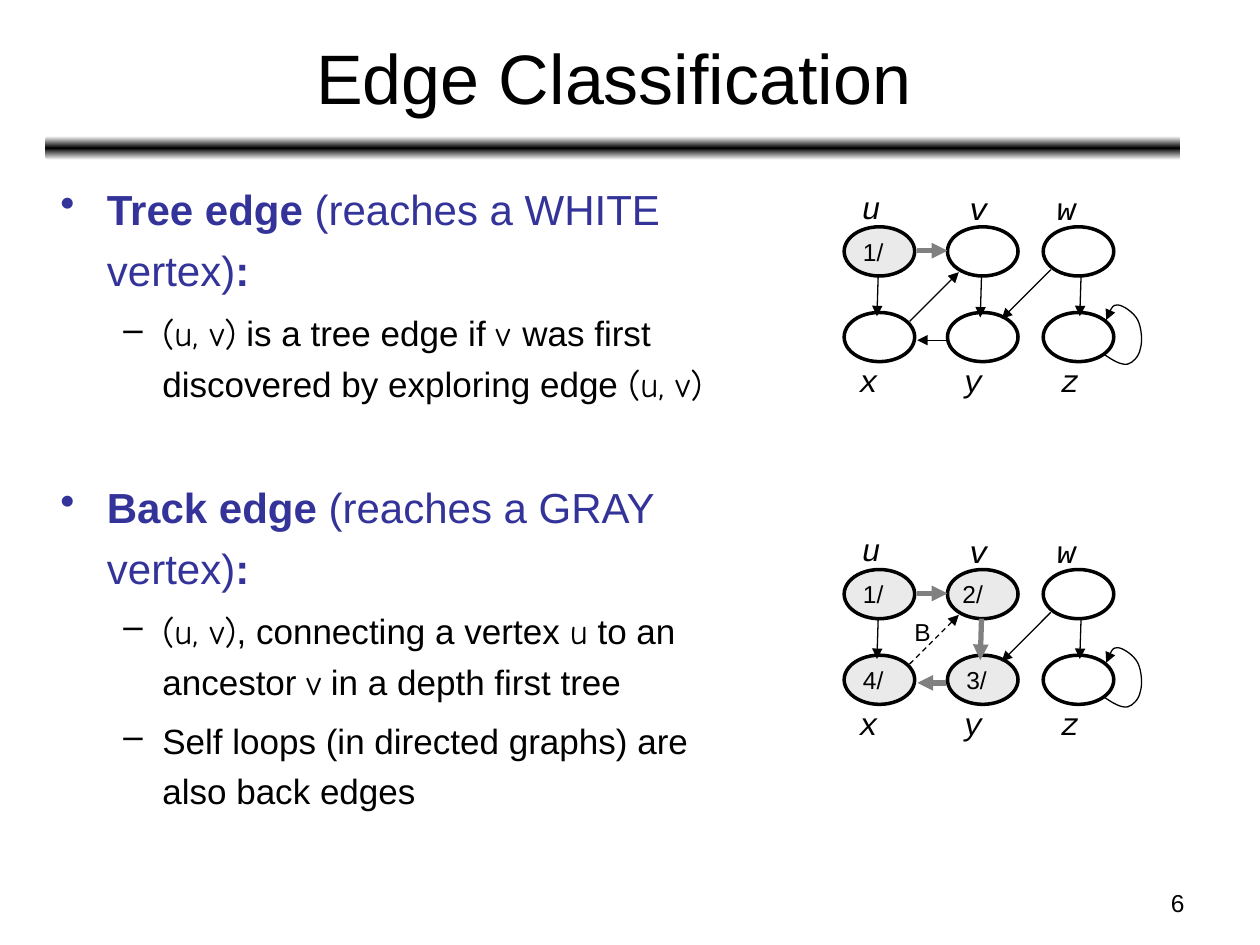
from copy import deepcopy

from lxml import etree
from pptx import Presentation
from pptx.dml.color import RGBColor
from pptx.enum import dml, shapes, text
from pptx.oxml.ns import qn
from pptx.util import Inches, Pt

COLORS = {"ink": "000000", "paper": "FFFFFF", "heading": "333399",
          "visited": "EAEAEA", "tree": "808080"}
SANS, HAND, MONO = "Arial", "Comic Neue", "Courier New"

# Bullet levels: indent, hanging, space before, size, bullet, colour
LEVELS = [
    dict(left=0.37, hang=0.37, before=6, size=24, bullet="•", color="heading"),
    dict(left=0.81, hang=0.31, before=5, size=20, bullet="–", color="ink"),
]
SECTION_GAP = 38.5

# Each paragraph: level, runs of (text, font, bold)
TREE_EDGE = [
    (0, [("Tree edge ", SANS, True), ("(reaches a WHITE vertex)", SANS, False),
         (":", SANS, True)]),
    (1, [("(u, v)", HAND, False), (" is a tree edge if ", SANS, False),
         ("v ", HAND, False),
         ("was first discovered by exploring edge ", SANS, False),
         ("(u, v)", HAND, False)]),
]
BACK_EDGE = [
    (0, [("Back edge ", SANS, True), ("(reaches a GRAY vertex)", SANS, False),
         (":", SANS, True)]),
    (1, [("(u, v)", HAND, False), (", connecting a vertex ", SANS, False),
         ("u", HAND, False), (" to an ancestor ", SANS, False),
         ("v", HAND, False), (" in a depth first tree", SANS, False)]),
    (1, [("Self loops (in directed graphs) are also back edges", SANS, False)]),
]

# Graph geometry, relative to the graph's top left corner
NODE_W, NODE_H = 0.56, 0.39
COLUMNS, ROWS = (0, 0.82, 1.58), (0.36, 1.04)
VERTICES = {name: (COLUMNS[i % 3], ROWS[i // 3])
            for i, name in enumerate("uvwxyz")}
LABELS = {"u": (0.04, 0, 0.34), "v": (0.89, 0.01, 0.31),
          "w": (1.59, 0.01, 0.38), "x": (0.02, 1.38, 0.32),
          "y": (0.85, 1.38, 0.31), "z": (1.62, 1.38, 0.31)}
EDGES = {"ux": (0.27, 0.75, 0.26, 1.07), "vy": (1.09, 0.75, 1.08, 1.08),
         "wz": (1.88, 0.75, 1.87, 1.07), "uv": (0.58, 0.55, 0.82, 0.55),
         "yx": (0.81, 1.26, 0.58, 1.26), "wy": (1.64, 0.70, 1.25, 1.09),
         "xv": (0.52, 1.11, 0.91, 0.72)}
SELF_LOOP = [(2.06, 1.37), (2.13, 1.42), (2.20, 1.46), (2.25, 1.45),
             (2.29, 1.44), (2.34, 1.39), (2.35, 1.33), (2.37, 1.27),
             (2.36, 1.16), (2.33, 1.10), (2.30, 1.04), (2.21, 0.98),
             (2.17, 0.98), (2.13, 0.98), (2.10, 1.04), (2.08, 1.10)]


def rgb(name):
    return RGBColor.from_string(COLORS[name])


def apply(target, values):
    for name, value in values.items():
        setattr(target, name, value)


def add_run(paragraph, words, size, font=SANS, color="ink", **style):
    run = paragraph.add_run()
    run.text = words
    apply(run.font, dict(name=font, size=Pt(size), **style))
    run.font.color.rgb = rgb(color)


def add_label(parent, box, words, size, align=text.PP_ALIGN.LEFT, **style):
    label = parent.add_textbox(*map(Inches, box))
    label.text_frame.word_wrap = False
    paragraph = label.text_frame.paragraphs[0]
    paragraph.alignment = align
    add_run(paragraph, words, size, **style)


def style_line(shape, color="ink", width=0.75, arrow=True):
    shape.line.color.rgb = rgb(color)
    shape.line.width = Pt(width)
    if arrow:
        etree.SubElement(shape.line._get_or_add_ln(), qn("a:tailEnd"),
                         type="triangle")


def add_title(slide, box):
    title = slide.shapes.title
    apply(title, dict(zip(("left", "top", "width", "height"), map(Inches, box))))
    title.text_frame.vertical_anchor = text.MSO_ANCHOR.MIDDLE
    paragraph = title.text_frame.paragraphs[0]
    paragraph.alignment = text.PP_ALIGN.CENTER
    add_run(paragraph, "Edge Classification", 40)


def add_rule(slide, box):
    rule = slide.shapes.add_shape(shapes.MSO_SHAPE.ROUNDED_RECTANGLE,
                                  *map(Inches, box))
    rule.shadow.inherit = False
    rule.line.fill.background()
    rule.fill.gradient()
    rule.fill.gradient_angle = 90
    stop_list = rule._element.spPr.find(".//" + qn("a:gsLst"))
    stop_list.append(deepcopy(stop_list[-1]))
    for stop, position, color in zip(rule.fill.gradient_stops, (0, 0.5, 1),
                                     ("paper", "ink", "paper")):
        stop.position = position
        stop.color.rgb = rgb(color)


def add_definitions(slide, box, sections):
    frame = slide.shapes.add_textbox(*map(Inches, box)).text_frame
    frame.word_wrap = True
    for section_no, section in enumerate(sections):
        for item_no, (level, runs) in enumerate(section):
            look = LEVELS[level]
            if item_no:
                before = look["before"]
            else:
                before = SECTION_GAP if section_no else 0
            first = section_no == item_no == 0
            paragraph = frame.paragraphs[0] if first else frame.add_paragraph()
            apply(paragraph, dict(level=level, line_spacing=1.2,
                                  space_before=Pt(before)))
            props = paragraph._p.get_or_add_pPr()
            props.set("marL", str(Inches(look["left"])))
            props.set("indent", str(-Inches(look["hang"])))
            bullet_color = etree.SubElement(props, qn("a:buClr"))
            etree.SubElement(bullet_color, qn("a:srgbClr"),
                             val=COLORS[look["color"]])
            etree.SubElement(props, qn("a:buChar"), char=look["bullet"])
            for words, font, bold in runs:
                add_run(paragraph, words, look["size"], font, look["color"],
                        bold=bold)


def add_vertex(group, x, y, time):
    vertex = group.add_shape(shapes.MSO_SHAPE.OVAL,
                             *map(Inches, (x, y, NODE_W, NODE_H)))
    vertex.shadow.inherit = False
    style_line(vertex, width=2, arrow=False)
    if not time:
        vertex.fill.background()
        return
    vertex.fill.solid()
    vertex.fill.fore_color.rgb = rgb("visited")
    right = 0.16 if time == "2/" else 0.1
    apply(vertex.text_frame, dict(
        margin_left=0, margin_right=Inches(right), margin_top=0,
        margin_bottom=0, vertical_anchor=text.MSO_ANCHOR.MIDDLE))
    paragraph = vertex.text_frame.paragraphs[0]
    paragraph.alignment = text.PP_ALIGN.CENTER
    add_run(paragraph, time, 14)


def add_self_loop(group, left, top):
    points = [(Inches(left + x), Inches(top + y)) for x, y in SELF_LOOP]
    builder = group.build_freeform(*points[0])
    builder.add_line_segments(points[1:], close=False)
    loop = builder.convert_to_shape()
    # Join each three points into one cubic curve
    outline = loop._element.spPr.find(".//" + qn("a:path"))
    steps = outline.findall(qn("a:lnTo"))
    for start in range(0, len(steps), 3):
        curve = etree.SubElement(outline, qn("a:cubicBezTo"))
        for step in steps[start:start + 3]:
            curve.append(step[0])
            outline.remove(step)
    loop.shadow.inherit = False
    loop.fill.background()
    style_line(loop)


def add_graph(slide, left, top, times, tree_edges, back_edge=None):
    group = slide.shapes.add_group_shape().shapes
    for name, (x, y) in VERTICES.items():
        add_vertex(group, left + x, top + y, times.get(name))
    for name, (x, y, width) in LABELS.items():
        add_label(group, (left + x, top + y, width, 0.4), name, 18,
                  font=MONO, italic=True)
    for name, (x1, y1, x2, y2) in EDGES.items():
        ends = (left + x1, top + y1, left + x2, top + y2)
        edge = group.add_connector(shapes.MSO_CONNECTOR.STRAIGHT,
                                   *map(Inches, ends))
        etree.SubElement(edge._element.spPr, qn("a:effectLst"))
        if name == back_edge:
            edge.line.dash_style = dml.MSO_LINE.DASH
        is_tree = name in tree_edges
        style_line(edge, "tree" if is_tree else "ink", 3 if is_tree else 0.75)
    add_self_loop(group, left, top)
    if back_edge:
        add_label(group, (left + 0.46, top + 0.69, 0.33, 0.34), "B", 14)


def main():
    deck = Presentation()
    deck.slide_width, deck.slide_height = Inches(10), Inches(7.5)
    slide = deck.slides.add_slide(deck.slide_layouts[5])
    add_rule(slide, (0.36, 1.08, 9.01, 0.19))
    add_title(slide, (0.37, 0.11, 9, 0.99))
    add_definitions(slide, (0.38, 1.33, 5.52, 5.86), (TREE_EDGE, BACK_EDGE))
    add_graph(slide, 6.7, 1.44, {"u": "1/"}, {"uv"})
    add_graph(slide, 6.7, 4.16, {"u": "1/", "v": "2/", "x": "4/", "y": "3/"},
              {"uv", "vy", "yx"}, back_edge="xv")
    # Slide number
    add_label(slide.shapes, (7.17, 7, 2.33, 0.35), "6", 14,
              text.PP_ALIGN.RIGHT)
    deck.save("out.pptx")


if __name__ == "__main__":
    main()
